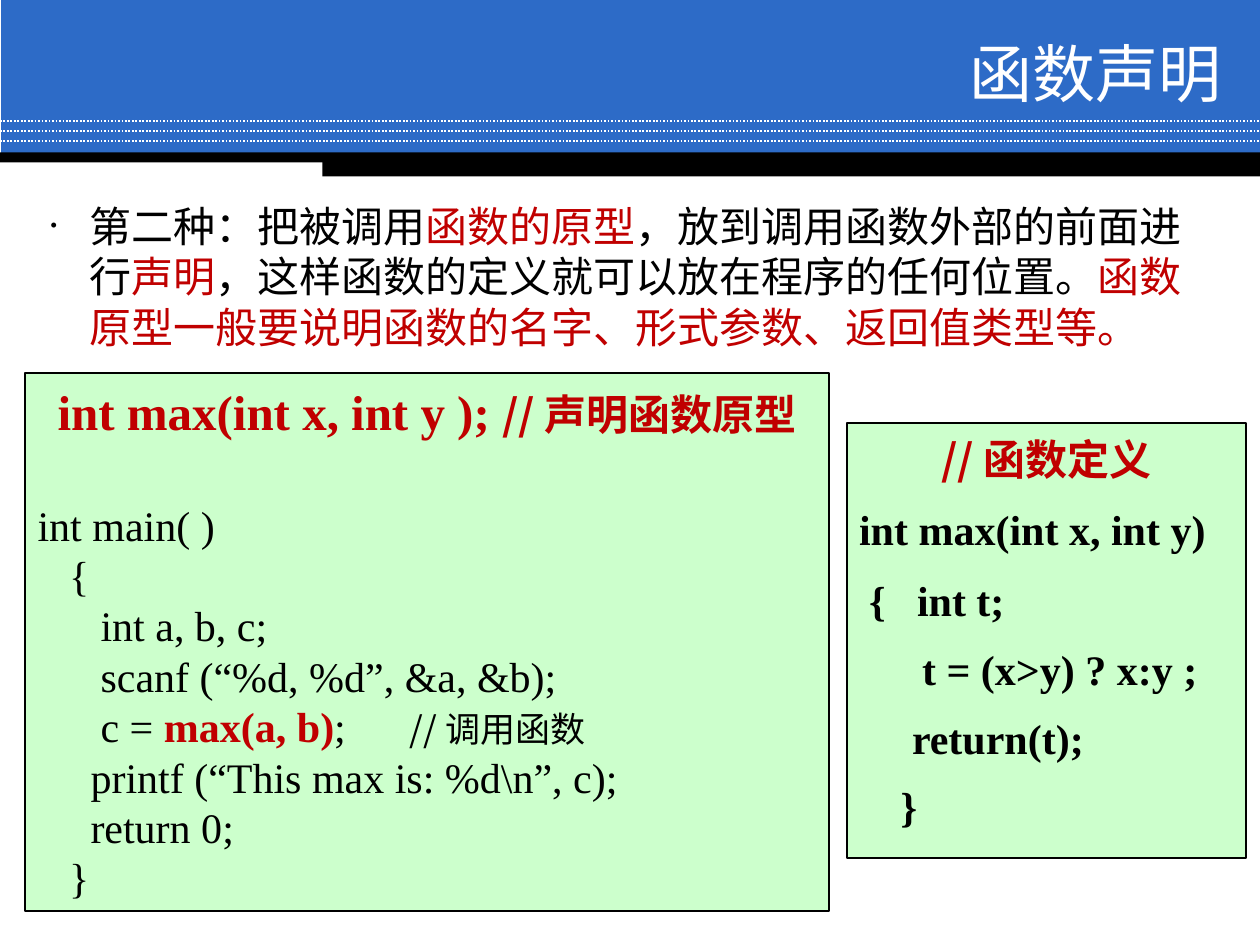
from lxml import etree
from pptx import Presentation
from pptx.dml.color import RGBColor
from pptx.enum.dml import MSO_LINE
from pptx.enum.shapes import MSO_CONNECTOR, MSO_SHAPE
from pptx.enum.text import MSO_ANCHOR, PP_ALIGN
from pptx.oxml.ns import qn
from pptx.util import Inches, Pt

RECT = MSO_SHAPE.RECTANGLE
STRAIGHT = MSO_CONNECTOR.STRAIGHT
DOTS = MSO_LINE.ROUND_DOT
TOP, MIDDLE = MSO_ANCHOR.TOP, MSO_ANCHOR.MIDDLE
RIGHT = PP_ALIGN.RIGHT

COLORS = {"blue": "2D6BC7", "black": "000000", "white": "FFFFFF",
          "red": "C00000", "green": "CCFFCC"}
SERIF, SANS = "Times New Roman", "Noto Sans CJK SC"
RED = {"color": "red"}
BOLD = {"bold": True}
HEAD = {"color": "red", "bold": True}

TITLE = [([("函数声明", {"font": SANS, "size": 36, "color": "white"})],
          {"align": RIGHT, "line": None})]
BODY = [([("第二种：把被调用", {}), ("函数的原型", RED),
          ("，放到调用函数外部的前面进行", {}), ("声明", RED),
          ("，这样函数的定义就可以放在程序的任何位置。", {}),
          ("函数原型一般要说明函数的名字、形式参数、返回值类型等。", RED)],
         {"left": 0.81, "first": -0.31, "bullet": True})]
MAIN = [
    ([("int max(int x, int y ); ", {**HEAD, "size": 28}),
      ("//声明函数原型", {**HEAD, "font": SANS})], {"line": 35}),
    ([("int main( )", {})], {"before": 33.5}),
    ([("{", {})], {"left": 0.25}),
    ([("int a, b, c;", {})], {"left": 0.5}),
    ([("scanf (“%d, %d”, &a, &b);", {})], {"left": 0.5}),
    ([("c = ", {}), ("max(a, b)", HEAD), (";\t", {}),
      ("//调用函数", {"font": SANS, "size": 20})], {"left": 2.95, "first": -2.45}),
    ([("printf (“This max is: %d\\n”, c);", {})], {"left": 0.42}),
    ([("return 0;", {})], {"left": 0.42}),
    ([("}", {})], {"left": 0.25}),
]
MAX = [
    ([("//函数定义", {**HEAD, "font": SANS})], {"line": 31}),
    ([("int max(int x, int y)", BOLD)], {"before": 11.5}),
    ([("{\tint t;", BOLD)], {"left": 0.46, "first": -0.38, "before": 11.5}),
    ([("t = (x>y) ? x:y ;", BOLD)], {"left": 0.5, "before": 10.5}),
    ([("return(t);", BOLD)], {"left": 0.42, "before": 10.5}),
    ([("}", BOLD)], {"left": 0.33, "before": 10.5}),
]

BARS = [((0.01, 0, 9.99, 1.23), "blue"),
        ((0, 1.21, 10, 0.08), "black"),
        ((2.56, 1.24, 7.44, 0.16), "black")]
CODE = [((0.2, 2.96, 6.38, 4.27), MAIN), ((6.72, 3.36, 3.17, 3.45), MAX)]
RULES = [0.96 + 0.08 * i for i in range(3)]


def rgb(name):
    return RGBColor.from_string(COLORS[name])


def add_run(para, text, font=SERIF, size=24, color="black", bold=False):
    run = para.add_run()
    run.text = text
    run.font.name, run.font.size = font, Pt(size)
    run.font.bold = bold
    run.font.color.rgb = rgb(color)
    etree.SubElement(run.font._element, qn("a:ea"), typeface=SANS)


def set_para(para, left=0, first=0, before=0, line=28.8, align=None, bullet=False):
    para.space_before = Pt(before)
    if line:
        para.line_spacing = Pt(line)
    if align:
        para.alignment = align
    props = para._p.get_or_add_pPr()
    props.set("marL", str(Inches(left)))
    props.set("indent", str(Inches(first)))
    if bullet:
        etree.SubElement(props, qn("a:buSzPct"), val="50000")
        etree.SubElement(props, qn("a:buFont"), typeface=SERIF)
        etree.SubElement(props, qn("a:buChar"), char="•")


def fill_text(shape, paras, anchor=TOP):
    frame = shape.text_frame
    frame.word_wrap = True
    frame.vertical_anchor = anchor
    for i, (runs, style) in enumerate(paras):
        para = frame.add_paragraph() if i else frame.paragraphs[0]
        set_para(para, **style)
        for text, form in runs:
            add_run(para, text, **form)


def add_rect(slide, box, fill, edge=None):
    shape = slide.shapes.add_shape(RECT, *map(Inches, box))
    shape.shadow.inherit = False
    shape.fill.solid()
    shape.fill.fore_color.rgb = rgb(fill)
    if edge:
        shape.line.color.rgb = rgb(edge)
        shape.line.width = Pt(1)
    else:
        shape.line.fill.background()
    return shape


def add_rule(slide, y):
    rule = slide.shapes.add_connector(STRAIGHT, 0, Inches(y), Inches(10), Inches(y))
    rule.line.color.rgb = rgb("white")
    rule.line.width = Pt(1)
    rule.line.dash_style = DOTS
    etree.SubElement(rule._element.spPr, qn("a:effectLst"))


def add_text(slide, box, paras, anchor=TOP):
    fill_text(slide.shapes.add_textbox(*map(Inches, box)), paras, anchor)


def main():
    deck = Presentation()
    deck.slide_width, deck.slide_height = Inches(10), Inches(7.5)
    slide = deck.slides.add_slide(deck.slide_layouts[6])
    band, *strips = BARS
    add_rect(slide, *band)
    for y in RULES:
        add_rule(slide, y)
    for strip in strips:
        add_rect(slide, *strip)
    add_text(slide, (-0.2, 1.54, 9.96, 1.34), BODY)
    for box, paras in CODE:
        fill_text(add_rect(slide, box, "green", "black"), paras)
    add_text(slide, (2.87, 0.28, 6.92, 0.58), TITLE, MIDDLE)
    deck.save("out.pptx")


if __name__ == "__main__":
    main()
